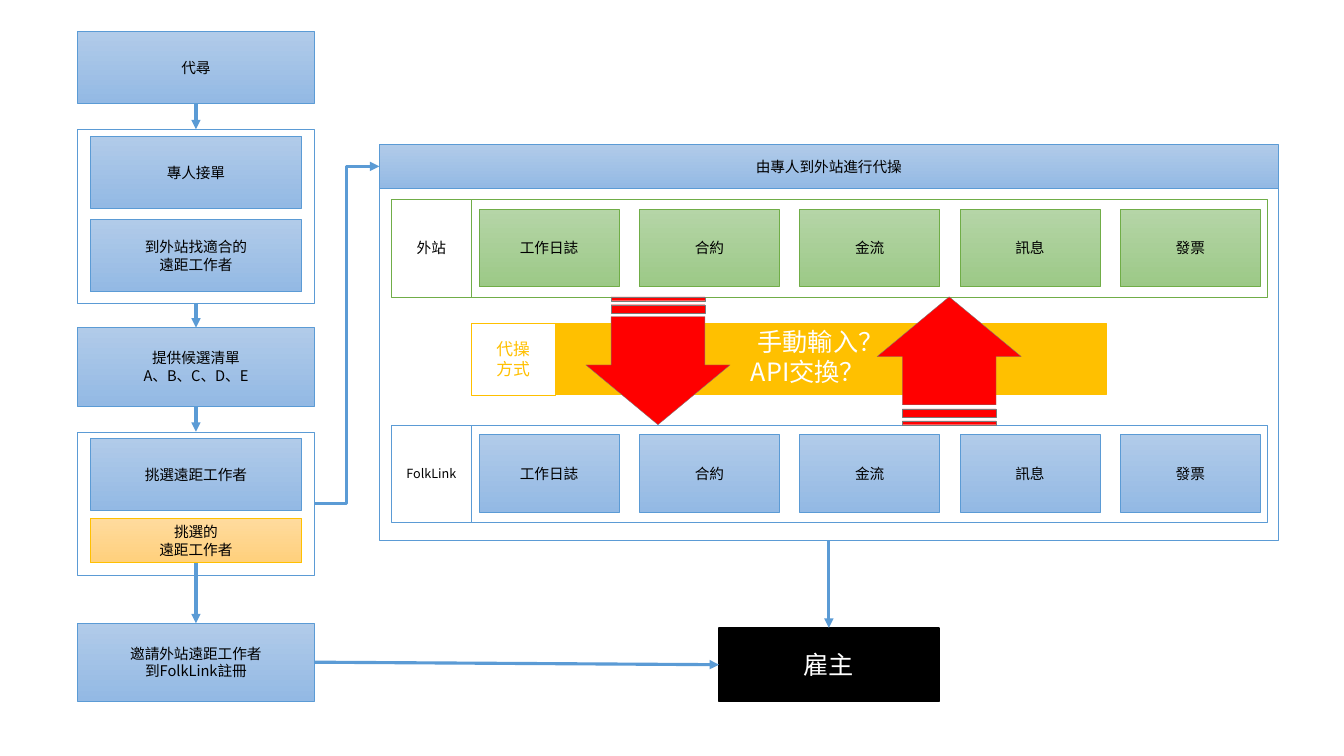
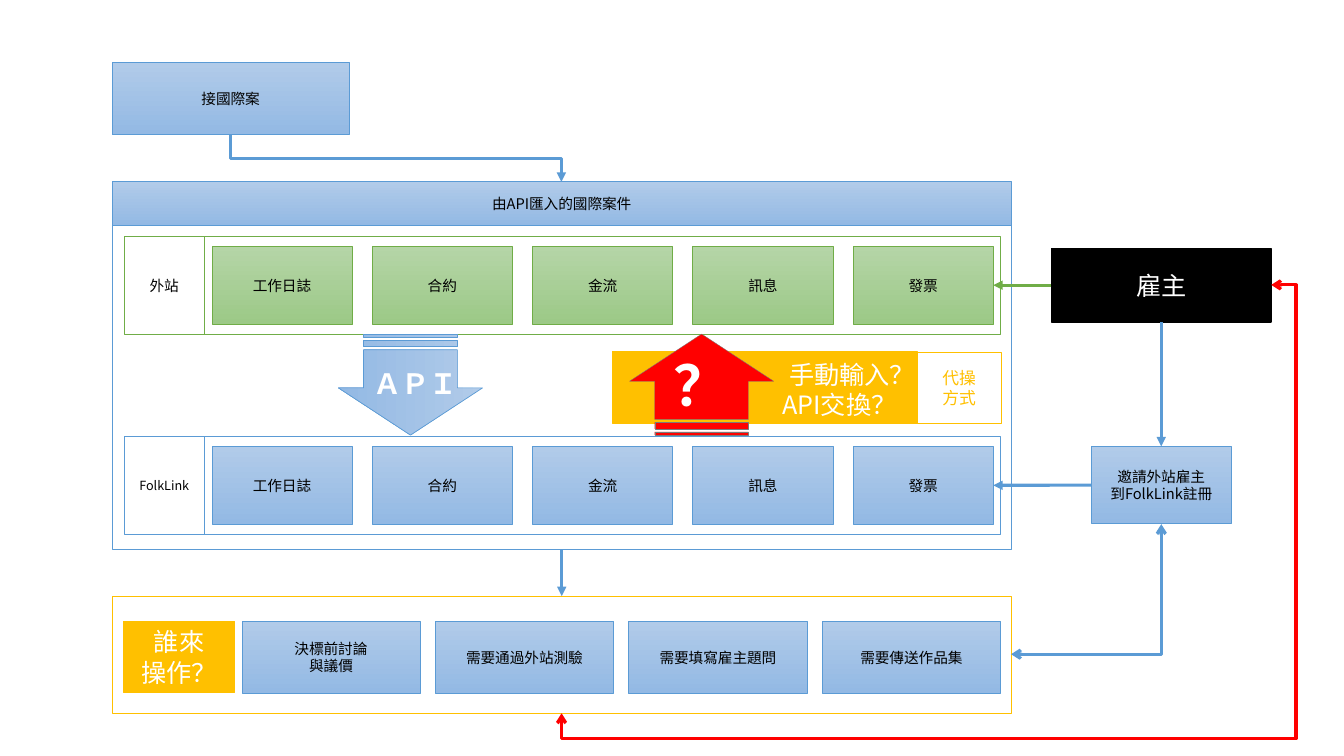
from dataclasses import dataclass

from lxml import etree
from pptx import Presentation
from pptx.dml.color import RGBColor
from pptx.enum import shapes, text
from pptx.oxml.ns import qn
from pptx.util import Pt


@dataclass(frozen=True)
class Style:
    """Look of a box; a pair of fill colours makes a vertical gradient."""
    fill: object
    line: str
    weight: float = 0.5
    ink: str = "000000"
    size: float = 10.5


class Theme:
    font, mono = "Noto Sans CJK SC", "Noto Sans Mono"
    blue, green, gold, red, white = "5B9BD5", "70AD47", "FFC000", "FF0000", "FFFFFF"
    body, headline = 10.5, 18
    connector = 2.25

    step = Style(("B1CBE9", "93B9E4"), blue)
    outside = Style(("B5D5A7", "9CC987"), green)
    chosen = Style(("FFDB9E", "FFD07C"), gold)
    group = Style(None, blue, 0.25)
    outside_row = Style(white, green, 0.25)
    inside_row = Style(white, blue, 0.25, size=9)
    gold_group = Style(white, gold, 0.25, gold, 12)
    banner = Style(gold, gold, ink=white, size=headline)
    employer = Style("000000", "000000", 1, white, headline)
    alert = Style(red, "7A7A7A", 0.25)


RECTANGLE = shapes.MSO_SHAPE.RECTANGLE
TOP, LEFT, BOTTOM, RIGHT = range(4)

FIELDS = ["工作日誌", "合約", "金流", "訊息", "發票"]
METHOD = ["手動輸入？", "API交換？"]
METHOD_LABEL = ["代操", "方式"]
PLATFORM = "FolkLink"

COLUMN_LEFT, COLUMN_WIDTH = 55.4, 169.2
BOARD_WIDTH, HEADING_HEIGHT = 642.2, 31.4
ROW_OFFSET, ROW_HEIGHT = 39, 69.8
LABEL_LEFT, LABEL_WIDTH = 8.4, 57.4
ROW_LEFT, ROW_WIDTH = 65.6, 568.8
CARD_LEFT, CARD_PITCH, CARD_WIDTH, CARD_HEIGHT = 71.2, 114.5, 100.1, 55.4
ARROW_SPAN = 103


def set_values(target, values):
    for name, value in values.items():
        setattr(target, name, value)


def paint(shape, style):
    fill = shape.fill
    if style.fill is None:
        fill.background()
    elif isinstance(style.fill, tuple):
        fill.gradient()
        fill.gradient_angle = 270
        for stop, colour in zip(fill.gradient_stops, style.fill):
            stop.color.rgb = RGBColor.from_string(colour)
    else:
        fill.solid()
        fill.fore_color.rgb = RGBColor.from_string(style.fill)
    shape.line.color.rgb = RGBColor.from_string(style.line)
    shape.line.width = Pt(style.weight)
    shape.shadow.inherit = False


def write(shape, lines, ink, size, font=Theme.font, bold=False,
          align=text.PP_ALIGN.CENTER, **frame_values):
    frame = shape.text_frame
    set_values(frame, frame_values)
    for index, line in enumerate(lines):
        para = frame.add_paragraph() if index else frame.paragraphs[0]
        para.alignment = align
        span = para.add_run()
        span.text = line
        set_values(span.font, {"name": font, "size": Pt(size), "bold": bold})
        span.font.color.rgb = RGBColor.from_string(ink)
        east_asian = etree.SubElement(span.font._element, qn("a:ea"))
        east_asian.set("typeface", font)


def add_box(page, left, top, width, height, style, *lines):
    box = page.shapes.add_shape(RECTANGLE, Pt(left), Pt(top), Pt(width), Pt(height))
    paint(box, style)
    if lines:
        write(box, lines, style.ink, style.size, word_wrap=True,
              vertical_anchor=text.MSO_ANCHOR.MIDDLE)
    return box


def add_label(page, left, top, width, height, lines, size=Theme.headline, **values):
    box = page.shapes.add_textbox(Pt(left), Pt(top), Pt(width), Pt(height))
    write(box, lines, Theme.white, size, **values)


def add_block_arrow(page, centre, top, height, style, turn):
    """Striped arrow turned upright; top and height are as seen on the page."""
    arrow = page.shapes.add_shape(
        shapes.MSO_SHAPE.STRIPED_RIGHT_ARROW,
        Pt(centre - height / 2), Pt(top + (height - ARROW_SPAN) / 2),
        Pt(height), Pt(ARROW_SPAN))
    arrow.adjustments[0], arrow.adjustments[1] = 0.65, 0.467
    arrow.rotation = turn
    paint(arrow, style)


def finish_connector(line, colour, **ends):
    line.line.color.rgb = RGBColor.from_string(colour)
    line.line.width = Pt(Theme.connector)
    properties = line.element.spPr
    outline = properties.find(qn("a:ln"))
    for end, kind in ends.items():
        etree.SubElement(outline, qn(f"a:{end}")).set("type", kind)
    etree.SubElement(properties, qn("a:effectLst"))


def connect(page, start, start_site, finish, finish_site, colour=Theme.blue,
            kind=shapes.MSO_CONNECTOR.STRAIGHT):
    line = page.shapes.add_connector(kind, 0, 0, 0, 0)
    line.begin_connect(start, start_site)
    line.end_connect(finish, finish_site)
    finish_connector(line, colour, tailEnd="triangle")


def add_elbow(page, left, top, width, height, colour, bends=3, turn=0,
              mirrored=False, adjust=(), **ends):
    """Bent connector given by its frame before turning."""
    first, last = (left + width, left) if mirrored else (left, left + width)
    line = page.shapes.add_connector(
        shapes.MSO_CONNECTOR.ELBOW, Pt(first), Pt(top), Pt(last), Pt(top + height))
    properties = line.element.spPr
    properties.find(qn("a:xfrm")).set("rot", str(turn * 60000))
    geometry = properties.find(qn("a:prstGeom"))
    geometry.set("prst", f"bentConnector{bends}")
    guides = geometry.find(qn("a:avLst"))
    for number, share in enumerate(adjust, 1):
        guide = etree.SubElement(guides, qn("a:gd"))
        guide.set("name", f"adj{number}")
        guide.set("fmla", f"val {round(share * 100000)}")
    finish_connector(line, colour, **ends)


def add_row(page, left, top, name, row_style, card_style):
    """Labelled row of field cards; returns the last card."""
    add_box(page, left + ROW_LEFT, top, ROW_WIDTH, ROW_HEIGHT, row_style)
    add_box(page, left + LABEL_LEFT, top, LABEL_WIDTH, ROW_HEIGHT, row_style, name)
    for index, field in enumerate(FIELDS):
        card = add_box(page, left + CARD_LEFT + index * CARD_PITCH,
                       top + (ROW_HEIGHT - CARD_HEIGHT) / 2,
                       CARD_WIDTH, CARD_HEIGHT, card_style, field)
    return card


def add_board(page, left, top, height, row_gap, title):
    """Heading over two rows; returns heading, body and last card of each row."""
    heading = add_box(page, left, top, BOARD_WIDTH, HEADING_HEIGHT, Theme.step, title)
    body = add_box(page, left, top + HEADING_HEIGHT, BOARD_WIDTH, height, Theme.group)
    upper = top + ROW_OFFSET
    lower = upper + ROW_HEIGHT + row_gap
    outside = add_row(page, left, upper, "外站", Theme.outside_row, Theme.outside)
    inside = add_row(page, left, lower, PLATFORM, Theme.inside_row, Theme.step)
    return heading, body, outside, inside


def add_employer(page, left, top):
    return add_box(page, left, top, 157, 52.6, Theme.employer, "雇主")


def add_method_label(page, left, top):
    add_box(page, left, top, 60, 51, Theme.gold_group, *METHOD_LABEL)


def add_column_box(page, top, height, style, *lines, inset=0):
    return add_box(page, COLUMN_LEFT + inset, top, COLUMN_WIDTH - 2 * inset,
                   height, style, *lines)


def build_search_page(page):
    request = add_column_box(page, 22.7, 51.4, Theme.step, "代尋")
    intake = add_column_box(page, 92.3, 124, Theme.group)
    shortlist = add_column_box(page, 234, 56, Theme.step, "提供候選清單", "A、B、C、D、E")
    selection = add_column_box(page, 308.4, 102.8, Theme.group)
    invite = add_column_box(page, 445.2, 55.6, Theme.step,
                            "邀請外站遠距工作者", f"到{PLATFORM}註冊")
    inner = [
        (97.4, 51.4, Theme.step, "專人接單"),
        (157, 51.4, Theme.step, "到外站找適合的", "遠距工作者"),
        (313.2, 51.4, Theme.step, "挑選遠距工作者"),
        (370, 32, Theme.chosen, "挑選的", "遠距工作者"),
    ]
    for item in inner:
        chosen = add_column_box(page, *item, inset=9)

    heading, body, _, _ = add_board(page, 271, 103.2, 251.2, 91.4, "由專人到外站進行代操")
    add_box(page, 397, 231, 393, 51, Theme.banner)
    add_method_label(page, 336.6, 231)
    for centre, turn in ((470, 90), (678, 270)):
        add_block_arrow(page, centre, 212, 91.4, Theme.alert, turn)
    add_label(page, 528.5, 229.7, 97.2, 51, METHOD, word_wrap=True)
    employer = add_employer(page, 513.6, 448.5)

    flow = [(request, intake), (intake, shortlist), (shortlist, selection),
            (chosen, invite), (body, employer)]
    for start, finish in flow:
        connect(page, start, BOTTOM, finish, TOP)
    connect(page, invite, RIGHT, employer, LEFT)
    connect(page, selection, RIGHT, heading, LEFT, kind=shapes.MSO_CONNECTOR.ELBOW)


def build_import_page(page):
    add_box(page, 80.2, 44.8, COLUMN_WIDTH, 51.4, Theme.step, "接國際案")
    questions = add_box(page, 80.2, 425.8, BOARD_WIDTH, 83.6, Theme.gold_group)
    add_box(page, 88.4, 443.8, 79.2, 51, Theme.banner, "誰來", "操作？")
    tasks = [["決標前討論", "與議價"], ["需要通過外站測驗"],
             ["需要填寫雇主題問"], ["需要傳送作品集"]]
    for index, lines in enumerate(tasks):
        add_box(page, 172.8 + index * 138.2, 443.8, 127.4, 51.4, Theme.step, *lines)

    _, body, outside, inside = add_board(
        page, 80.2, 129.8, 231.2, 73.2, "由API匯入的國際案件")
    add_box(page, 437.2, 251.3, 218, 51, Theme.banner)
    add_method_label(page, 655.2, 251.3)
    add_label(page, 551, 253, 97.2, 51, METHOD, word_wrap=True)
    for centre, style, turn in ((293.2, Theme.step, 90), (501.2, Theme.alert, 270)):
        add_block_arrow(page, centre, 238.6, 72.2, style, turn)
    emphasis = {"font": Theme.mono, "bold": True, "align": text.PP_ALIGN.LEFT,
                "word_wrap": False}
    add_label(page, 473.8, 247, 54.7, 55.4, ["？"], 40, **emphasis)
    add_label(page, 260, 258.5, 75, 31.7, ["ＡＰＩ"], 20, **emphasis)

    employer = add_employer(page, 751, 177.4)
    invite = add_box(page, 779.8, 318.8, 99.4, 55.4, Theme.step,
                     "邀請外站雇主", f"到{PLATFORM}註冊")
    connect(page, employer, LEFT, outside, RIGHT, Theme.green)
    connect(page, employer, BOTTOM, invite, TOP)
    connect(page, invite, LEFT, inside, RIGHT)
    connect(page, body, BOTTOM, questions, TOP)
    add_elbow(page, 266.1, -5, 33.6, 236.2, Theme.blue, turn=270, mirrored=True,
              tailEnd="triangle")
    both_ends = {"headEnd": "arrow", "tailEnd": "arrow"}
    add_elbow(page, 729.4, 367.2, 92.9, 107.3, Theme.blue, bends=2, turn=90, **both_ends)
    add_elbow(page, 401.2, 203.5, 506.9, 306, Theme.red, bends=4, mirrored=True,
              adjust=(-0.035, 1.059), **both_ends)


def main():
    deck = Presentation()
    set_values(deck, {"slide_width": Pt(960), "slide_height": Pt(540)})
    blank = deck.slide_layouts[6]
    for build in (build_search_page, build_import_page):
        build(deck.slides.add_slide(blank))
    deck.save("out.pptx")


if __name__ == "__main__":
    main()
